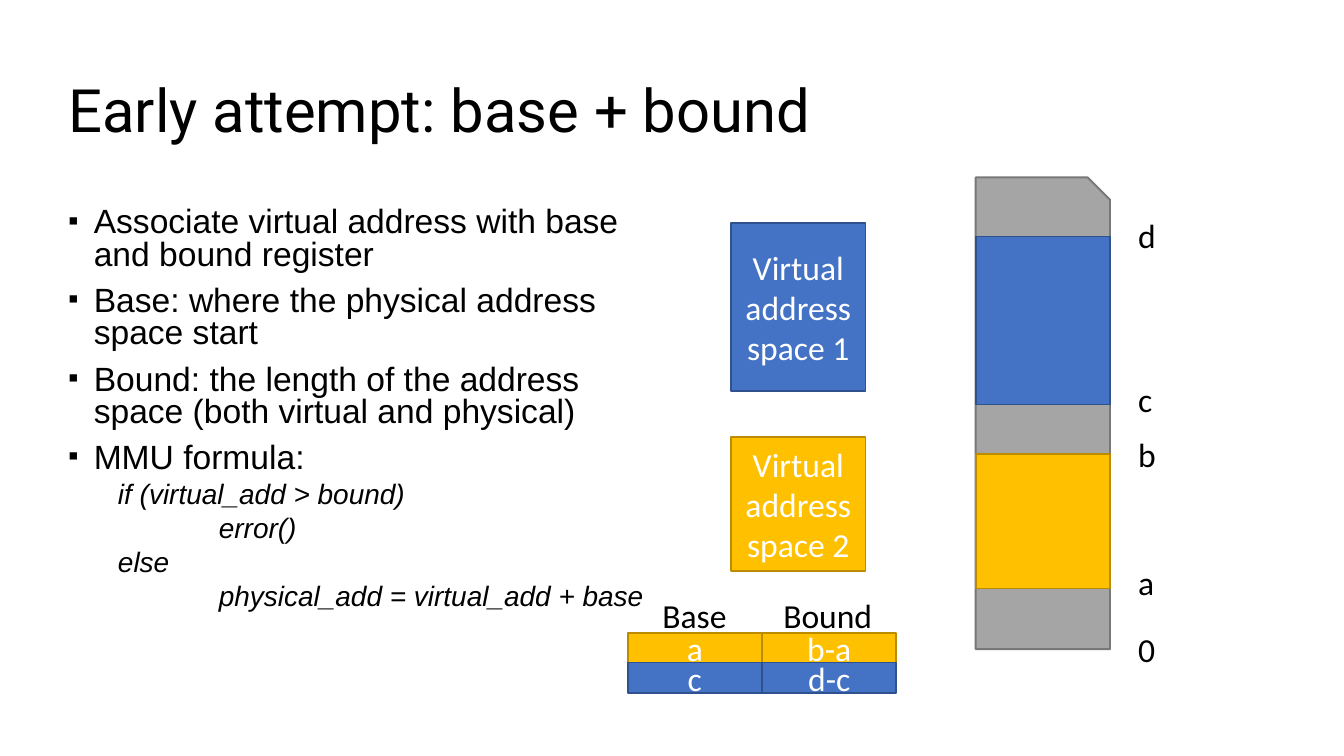
from lxml import etree
from pptx import Presentation
from pptx import util as u
from pptx.dml.color import RGBColor
from pptx.enum import shapes, text
from pptx.oxml.ns import qn

BLUE = ("4472C4", "2F528F")
YELLOW = ("FFC000", "BC8C00")
GRAY = ("A5A5A5", "787878")
BLACK = "000000"
WHITE = "FFFFFF"


def color(value):
    """Return the colour for a hex string."""
    return RGBColor.from_string(value)


def add_run(paragraph, words, size=18, font="Calibri", hex_color=BLACK, italic=None):
    """Append one formatted run to a paragraph."""
    run = paragraph.add_run()
    run.text = words
    run.font.size = u.Pt(size)
    run.font.name = font
    run.font.color.rgb = color(hex_color)
    run.font.italic = italic


def paint(shape, colors):
    """Give a shape its fill and outline and remove its shadow."""
    fill, line = colors
    shape.shadow.inherit = False
    shape.fill.solid()
    shape.fill.fore_color.rgb = color(fill)
    shape.line.color.rgb = color(line)
    shape.line.width = u.Pt(1)


def add_block(slide, left, top, width, height, colors, words=""):
    """Add a coloured rectangle with optional centred white text."""
    block = slide.shapes.add_shape(
        shapes.MSO_SHAPE.RECTANGLE, *map(u.Inches, (left, top, width, height)))
    paint(block, colors)
    if words:
        block.text_frame.vertical_anchor = text.MSO_ANCHOR.MIDDLE
        paragraph = block.text_frame.paragraphs[0]
        paragraph.alignment = text.PP_ALIGN.CENTER
        add_run(paragraph, words, hex_color=WHITE)


def add_label(slide, left, top, width, words):
    """Add a one-line black label that does not wrap."""
    label = slide.shapes.add_textbox(*map(u.Inches, (left, top, width, 0.4)))
    label.text_frame.word_wrap = False
    label.text_frame.auto_size = text.MSO_AUTO_SIZE.SHAPE_TO_FIT_TEXT
    add_run(label.text_frame.paragraphs[0], words)


def set_indent(paragraph, left, bullet=None):
    """Set the left indent, with a hanging bullet if one is given."""
    properties = paragraph._p.get_or_add_pPr()
    properties.set("marL", str(u.Inches(left)))
    properties.set("indent", str(u.Inches(-left if bullet else 0)))
    if bullet:
        etree.SubElement(properties, qn("a:buSzPct"), val="85000")
        etree.SubElement(properties, qn("a:buFont"), typeface="Calibri")
        etree.SubElement(properties, qn("a:buChar"), char=bullet)
    else:
        etree.SubElement(properties, qn("a:buNone"))


def add_title(slide, left, top, width, height, words):
    """Place and format the title placeholder."""
    title = slide.shapes.title
    title.left, title.top, title.width, title.height = map(
        u.Inches, (left, top, width, height))
    frame = title.text_frame
    frame.auto_size = text.MSO_AUTO_SIZE.NONE
    frame.vertical_anchor = text.MSO_ANCHOR.MIDDLE
    paragraph = frame.paragraphs[0]
    paragraph.alignment = text.PP_ALIGN.LEFT
    paragraph.line_spacing = 0.9
    add_run(paragraph, words, 32, "Roboto")


def add_explanation(slide, left, top, width, height):
    """Add the bullet points followed by the translation formula."""
    bullets = (
        "Associate virtual address with base and bound register",
        "Base: where the physical address space start",
        "Bound: the length of the address space (both virtual and physical)",
        "MMU formula:",
    )
    formula = (
        (0.37, "if (virtual_add > bound)"),
        (1.12, "error()"),
        (0.37, "else"),
        (1.12, "physical_add = virtual_add + base"),
    )
    lines = [(0.19, words, "▪", 18, 7.5, None) for words in bullets]
    lines += [(indent, words, None, 15, 3.8, True) for indent, words in formula]
    box = slide.shapes.add_textbox(*map(u.Inches, (left, top, width, height)))
    frame = box.text_frame
    frame.word_wrap = True
    for index, (indent, words, bullet, size, space, italic) in enumerate(lines):
        paragraph = frame.add_paragraph() if index else frame.paragraphs[0]
        paragraph.line_spacing = 0.8
        paragraph.space_before = u.Pt(space)
        set_indent(paragraph, indent, bullet)
        add_run(paragraph, words, size, "Arial", italic=italic)


def add_virtual_spaces(slide, left, top, width):
    """Add the two virtual address spaces."""
    add_block(slide, left, top, width, 1.25, BLUE, "Virtual address space 1")
    add_block(slide, left, top + 1.59, width, 1, YELLOW, "Virtual address space 2")


def add_physical_memory(slide, left, top, width, height):
    """Add the memory column with its mapped regions and address labels."""
    snip = width / 6
    right, bottom = left + width, top + height
    outline = [(left, top), (right - snip, top), (right, top + snip),
               (right, bottom), (left, bottom)]
    points = [(u.Inches(x), u.Inches(y)) for x, y in outline]
    builder = slide.shapes.build_freeform(*points[0])
    builder.add_line_segments(points[1:])
    paint(builder.convert_to_shape(), GRAY)
    add_block(slide, left, top + 2.06, width, 1, YELLOW)
    add_block(slide, left, top + 0.44, width, 1.25, BLUE)
    addresses = (("d", 0.23), ("c", 1.45), ("b", 1.86), ("a", 2.81), ("0", 3.31))
    for address, offset in addresses:
        add_label(slide, right + 0.11, top + offset, 0.33, address)


def add_register_grid(slide, left, top, column_width):
    """Add the base and bound registers under their headings."""
    add_label(slide, left + 0.16, top - 0.33, 0.68, "Base")
    add_label(slide, left + column_width + 0.06, top - 0.33, 0.87, "Bound")
    rows = ((YELLOW, ("a", "b-a")), (BLUE, ("c", "d-c")))
    for row, (colors, values) in enumerate(rows):
        for column, value in enumerate(values):
            add_block(slide, left + column * column_width, top + row * 0.22,
                      column_width, 0.23, colors, value)


def main():
    """Build and save the presentation."""
    presentation = Presentation()
    presentation.slide_width = u.Inches(10)
    presentation.slide_height = u.Inches(10 * 9 / 16)
    slide = presentation.slides.add_slide(presentation.slide_layouts[5])
    add_title(slide, 0.41, 0.3, 9.19, 1.09, "Early attempt: base + bound")
    add_explanation(slide, 0.41, 1.5, 4.53, 3.16)
    add_virtual_spaces(slide, 5.44, 1.66, 1)
    add_physical_memory(slide, 7.26, 1.32, 1, 3.51)
    add_register_grid(slide, 4.67, 4.71, 1)
    presentation.save("out.pptx")


if __name__ == "__main__":
    main()
